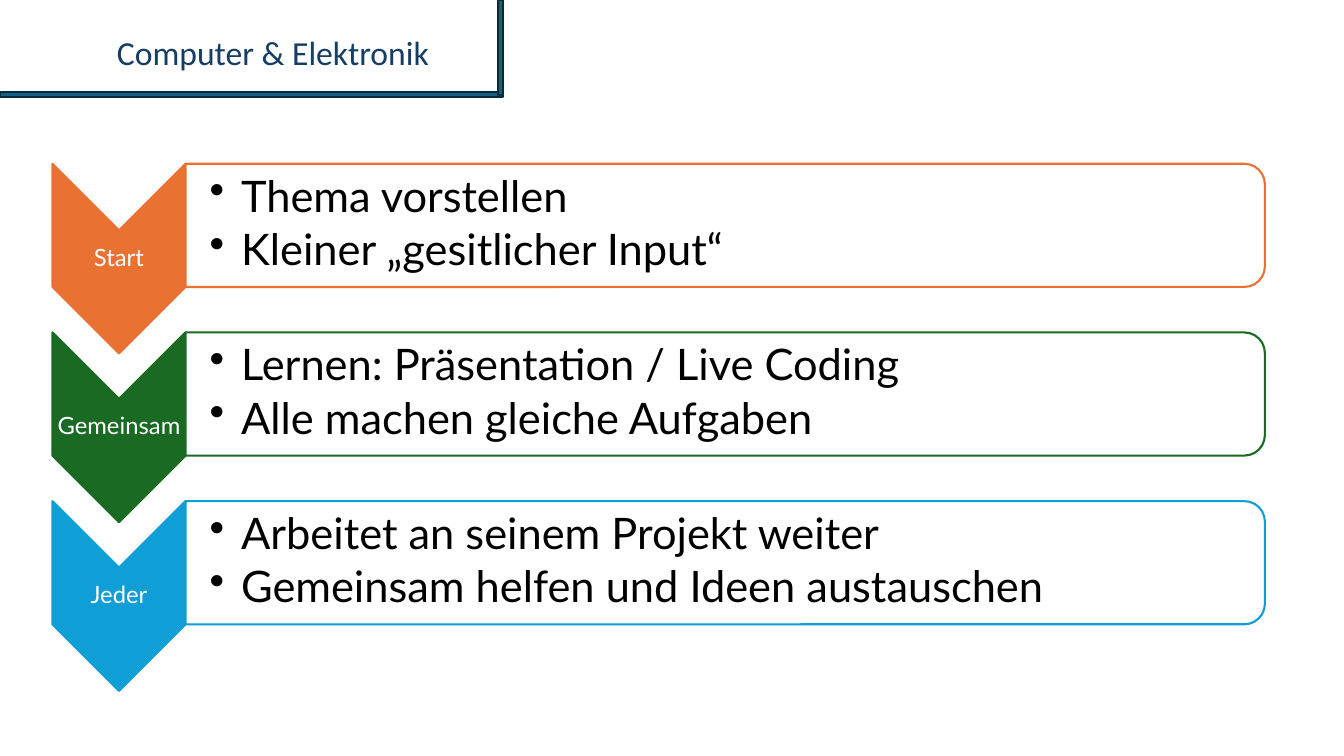
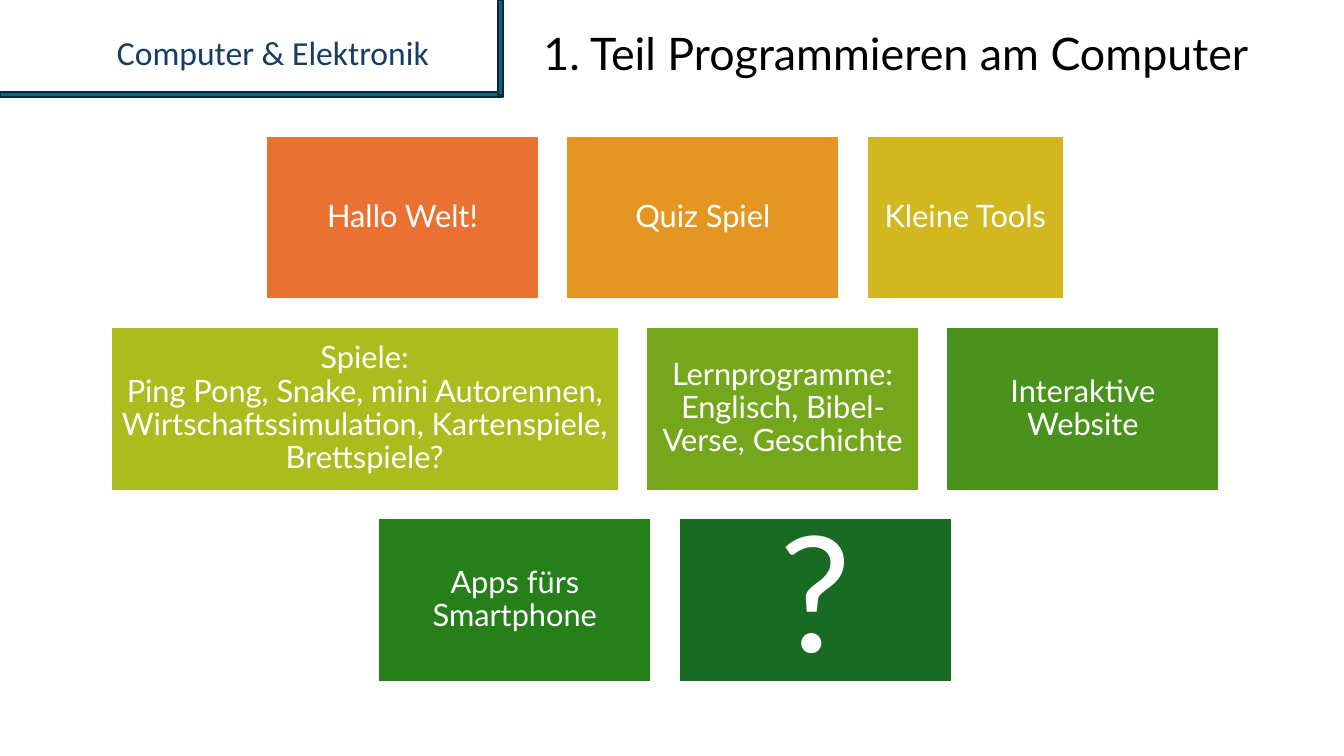
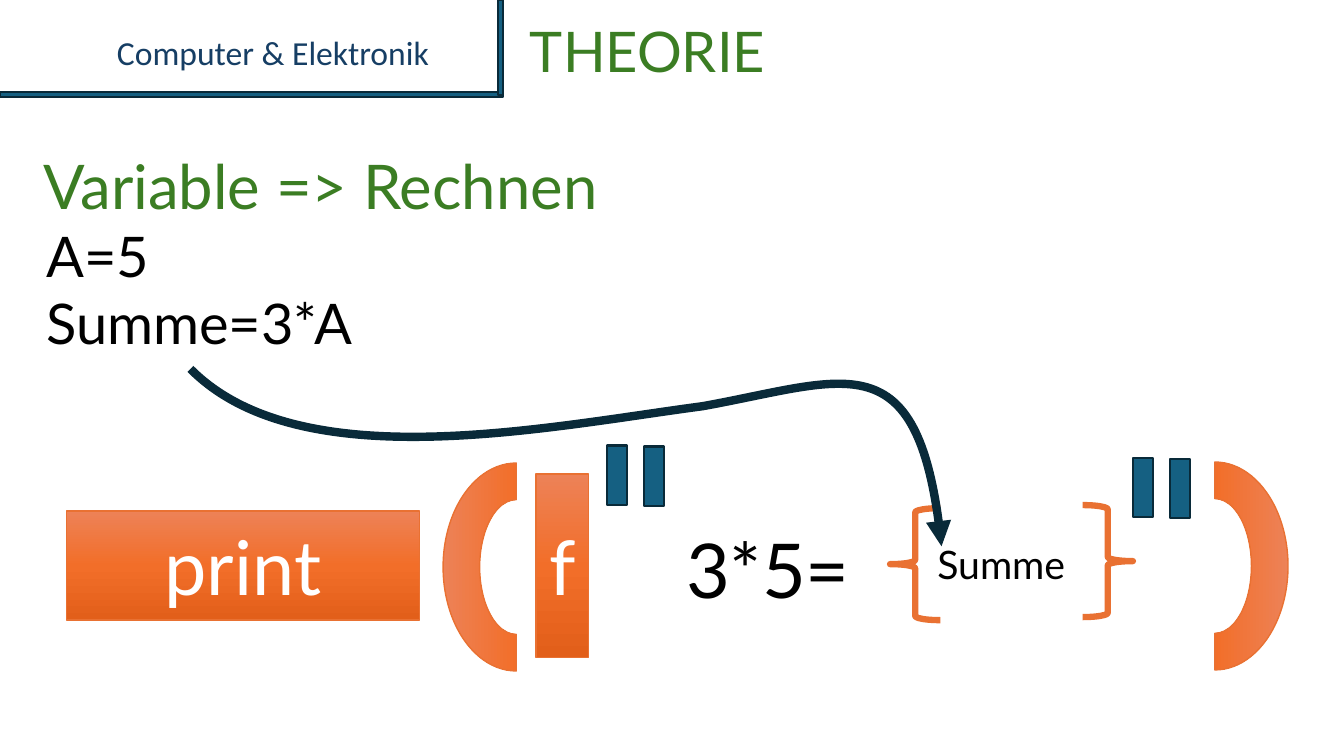
from lxml.etree import SubElement
from pptx import Presentation
from pptx.dml.color import RGBColor
from pptx.enum.shapes import MSO_SHAPE
from pptx.enum.text import MSO_ANCHOR, PP_ALIGN
from pptx.oxml import parse_xml
from pptx.oxml.ns import nsdecls, qn
from pptx.util import Pt

WHITE = RGBColor(0xFF, 0xFF, 0xFF)
BLACK = RGBColor(0x00, 0x00, 0x00)
NAVY = RGBColor(0x16, 0x3E, 0x64)
TEAL = RGBColor(0x15, 0x60, 0x82)
DARK_TEAL = RGBColor(0x09, 0x2A, 0x39)
ORANGE = RGBColor(0xE9, 0x71, 0x32)
AMBER = RGBColor(0xE4, 0x96, 0x22)
YELLOW = RGBColor(0xD2, 0xB8, 0x1E)
LIME = RGBColor(0xAB, 0xBC, 0x1E)
LEAF = RGBColor(0x75, 0xA7, 0x1D)
GRASS = RGBColor(0x49, 0x93, 0x1D)
FOREST = RGBColor(0x27, 0x7F, 0x1B)
GREEN = RGBColor(0x19, 0x6B, 0x24)
BLUE = RGBColor(0x0F, 0x9E, 0xD5)
HEADING = RGBColor(0x3B, 0x7D, 0x23)
GLOW_STOPS = [
    (0, RGBColor(0xED, 0x82, 0x57)),
    (50, RGBColor(0xF2, 0x6E, 0x29)),
    (100, RGBColor(0xE2, 0x5F, 0x1A)),
]
FONT = "Lato"
TITLE_FONT = "Calibri"
INSETS = (7.2, 3.6, 7.2, 3.6)


def write(sp, lines, size, color, font=FONT, align=PP_ALIGN.LEFT,
          anchor=MSO_ANCHOR.TOP, insets=INSETS, spacing=None, after=None,
          bullet_indent=None):
    tf = sp.text_frame
    tf.word_wrap = True
    tf.vertical_anchor = anchor
    tf.margin_left, tf.margin_top, tf.margin_right, tf.margin_bottom = map(Pt, insets)
    for i, line in enumerate(lines):
        p = tf.add_paragraph() if i else tf.paragraphs[0]
        if bullet_indent:
            pPr = p._p.get_or_add_pPr()
            pPr.set("marL", str(Pt(bullet_indent)))
            pPr.set("indent", str(-Pt(bullet_indent)))
            SubElement(pPr, qn("a:buChar")).set("char", "•")
        p.alignment = align
        if spacing:
            p.line_spacing = spacing
        if after:
            p.space_after = Pt(after)
        for j, part in enumerate(line.split("\n")):
            if j:
                p.add_line_break()
            r = p.add_run()
            r.text = part
            r.font.size = Pt(size)
            r.font.name = font
            r.font.color.rgb = color


def add_text(s, box, lines, size, color, **style):
    sp = s.shapes.add_textbox(*map(Pt, box))
    write(sp, lines, size, color, **style)


def add_box(s, kind, box, fill, line, width=1.5, rotation=0):
    x, y, w, h = box
    if rotation in (90, 270):
        x, y, w, h = x + (w - h) / 2, y + (h - w) / 2, h, w
    sp = s.shapes.add_shape(kind, Pt(x), Pt(y), Pt(w), Pt(h))
    sp.rotation = rotation
    sp.shadow.inherit = False
    if fill is None:
        sp.fill.background()
    else:
        sp.fill.solid()
        sp.fill.fore_color.rgb = fill
    sp.line.color.rgb = line
    sp.line.width = Pt(width)
    return sp


def add_glow_box(s, kind, box, rotation=0):
    sp = add_box(s, kind, box, ORANGE, ORANGE, 1, rotation)
    stops = "".join(
        f'<a:gs pos="{pos * 1000}"><a:srgbClr val="{color}"/></a:gs>'
        for pos, color in GLOW_STOPS)
    gradient = parse_xml(
        f'<a:gradFill {nsdecls("a")} rotWithShape="1"><a:gsLst>{stops}</a:gsLst>'
        '<a:lin ang="5400000" scaled="0"/></a:gradFill>')
    spPr = sp._element.spPr
    spPr.replace(spPr.find(qn("a:solidFill")), gradient)
    return sp


def add_curved_arrow(s, start, curves, color, width):
    fb = s.shapes.build_freeform(Pt(start[0]), Pt(start[1]))
    fb.add_line_segments([(Pt(x), Pt(y)) for *_, (x, y) in curves], close=False)
    sp = fb.convert_to_shape()
    sp.shadow.inherit = False
    sp.fill.background()
    sp.line.color.rgb = color
    sp.line.width = Pt(width)
    SubElement(sp.line._get_or_add_ln(), qn("a:tailEnd")).set("type", "triangle")
    segments = list(sp._element.iter(qn("a:lnTo")))
    for segment, curve in zip(segments, curves):
        bezier = parse_xml(f'<a:cubicBezTo {nsdecls("a")}/>')
        for x, y in curve:
            pt = SubElement(bezier, qn("a:pt"))
            pt.set("x", str(Pt(x) - sp.left))
            pt.set("y", str(Pt(y) - sp.top))
        segment.getparent().replace(segment, bezier)


def add_slide(prs):
    s = prs.slides.add_slide(prs.slide_layouts[6])
    add_text(s, (76.5, 19.5, 305, 36), ["Computer & Elektronik"], 24, NAVY,
             font=TITLE_FONT)
    for bar in ((0, 65.5, 359, 3.6), (355.5, 0, 3.6, 68)):
        add_box(s, MSO_SHAPE.RECTANGLE, bar, TEAL, DARK_TEAL)
    return s


def add_step(s, top, color, label, points):
    add_box(s, MSO_SHAPE.CHEVRON, (37.5, top, 95, 135.5), color, color, rotation=90)
    add_text(s, (37.5, top + 47.5, 95, 40), [label], 17, WHITE,
             align=PP_ALIGN.CENTER, anchor=MSO_ANCHOR.MIDDLE,
             insets=(0.8,) * 4, spacing=0.9)
    add_box(s, MSO_SHAPE.ROUND_2_SAME_RECTANGLE, (132.5, top, 771, 88), WHITE, color,
            rotation=90)
    add_text(s, (132.5, top + 4, 767, 79), points, 31, BLACK,
             anchor=MSO_ANCHOR.MIDDLE, insets=(17.3, 1.5, 1.5, 1.5),
             spacing=0.9, after=4.65, bullet_indent=22.5)


def add_tile_row(s, top, tiles):
    gap, center = 19.5, 475
    x = center - (sum(w for w, *_ in tiles) + gap * (len(tiles) - 1)) / 2
    for w, color, text, size, inset in tiles:
        sp = add_box(s, MSO_SHAPE.RECTANGLE, (x, top, w, 117), color, WHITE)
        write(sp, [text], size, WHITE, align=PP_ALIGN.CENTER,
              anchor=MSO_ANCHOR.MIDDLE, insets=(inset,) * 4, spacing=0.9)
        x += w + gap


def build_agenda(prs):
    s = add_slide(prs)
    steps = [
        (ORANGE, "Start", ["Thema vorstellen", "Kleiner „gesitlicher Input“"]),
        (GREEN, "Gemeinsam", ["Lernen: Präsentation / Live Coding",
                              "Alle machen gleiche Aufgaben"]),
        (BLUE, "Jeder", ["Arbeitet an seinem Projekt weiter",
                         "Gemeinsam helfen und Ideen austauschen"]),
    ]
    for i, step in enumerate(steps):
        add_step(s, 117 + 120.5 * i, *step)


def build_topics(prs):
    s = add_slide(prs)
    add_text(s, (381, 15, 553, 46), ["1. Teil Programmieren am Computer"], 32, BLACK)
    normal, narrow, wide = 195, 141, 363
    rows = [
        [(normal, ORANGE, "Hallo Welt!", 22, 6.6),
         (normal, AMBER, "Quiz Spiel", 22, 6.6),
         (narrow, YELLOW, "Kleine Tools", 22, 6.6)],
        [(wide, LIME, "Spiele:\nPing Pong, Snake, mini Autorennen, "
                      "Wirtschaftssimulation, Kartenspiele, Brettspiele?", 22, 6.6),
         (normal, LEAF, "Lernprogramme:\nEnglisch, Bibel-Verse, Geschichte", 22, 6.6),
         (normal, GRASS, "Interaktive Website", 22, 6.6)],
        [(normal, FOREST, "Apps fürs Smartphone", 22, 6.6),
         (normal, GREEN, "?", 115, 34.5)],
    ]
    for i, tiles in enumerate(rows):
        add_tile_row(s, 97 + 136.5 * i, tiles)


def build_theory(prs):
    s = add_slide(prs)
    add_text(s, (371.5, 8.6, 559, 55.5), ["THEORIE"], 40, HEADING)
    add_text(s, (23.8, 102.2, 877, 60.5), ["Variable => Rechnen"], 44, HEADING)
    add_text(s, (26, 154.8, 691, 104.5), ["A=5", "Summe=3*A"], 40, BLACK)

    for box, word in (((47.5, 365, 252, 78), "print"), ((383, 338.5, 37.5, 131), "f")):
        sp = add_glow_box(s, MSO_SHAPE.RECTANGLE, box)
        write(sp, [word], 54, WHITE, align=PP_ALIGN.CENTER, anchor=MSO_ANCHOR.MIDDLE)
    for x, y, rotation in ((316.5, 330.75, 270), (815.5, 330, 90)):
        add_glow_box(s, MSO_SHAPE.BLOCK_ARC, (x, y, 104.5, 148.5), rotation)
    for x, y in ((433.5, 318.25), (809.25, 327)):
        for i in range(2):
            add_box(s, MSO_SHAPE.RECTANGLE, (x + 26.6 * i, y + 0.7 * i, 14.5, 42.5),
                    TEAL, DARK_TEAL)
    for x, y, rotation in ((635.75, 363, 0), (773.25, 360.75, 180)):
        add_box(s, MSO_SHAPE.LEFT_BRACE, (x, y, 36, 80), None, ORANGE, 4.5, rotation)

    add_text(s, (483, 370, 146, 72.7), ["3*5="], 54, BLACK)
    add_text(s, (662.5, 382.5, 124.5, 41), ["Summe"], 28, BLACK)
    add_curved_arrow(s, (136, 263.5), [
        [(213.8, 342), (388, 305.3), (501.8, 290.2)],
        [(601.9, 272.2), (657.4, 240.5), (672.5, 390.2)],
    ], DARK_TEAL, 6)


def main():
    prs = Presentation()
    prs.slide_width, prs.slide_height = Pt(960), Pt(540)
    build_agenda(prs)
    build_topics(prs)
    build_theory(prs)
    prs.save("out.pptx")


if __name__ == "__main__":
    main()
